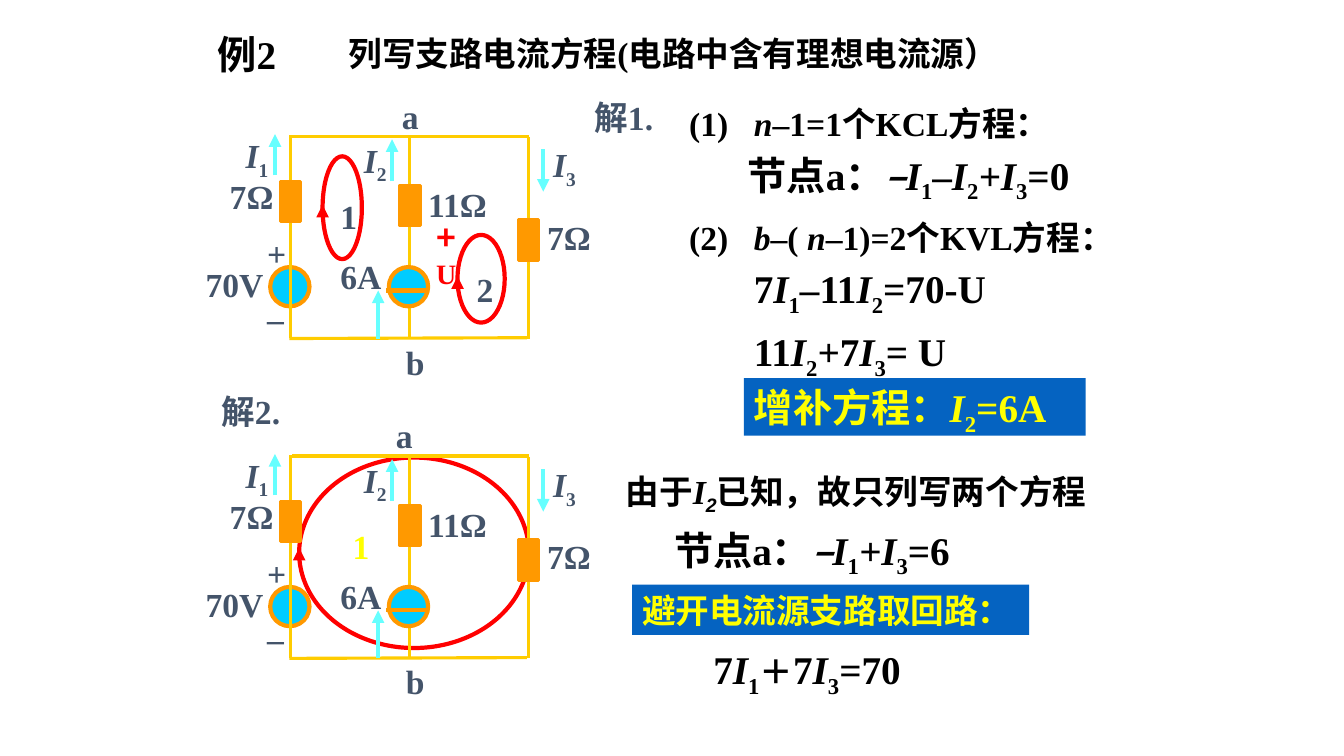
from lxml.etree import SubElement
from pptx import Presentation
from pptx.dml.color import RGBColor as Rgb
from pptx.enum.shapes import MSO_CONNECTOR as Link, MSO_SHAPE as Shape
from pptx.enum.text import MSO_ANCHOR as Anchor, MSO_AUTO_SIZE as Fit, PP_ALIGN as Align
from pptx.oxml.ns import qn
from pptx.util import Cm, Pt

HUES = {"ink": "000000", "slate": "44546A", "red": "FF0000", "wire": "FFCC00",
        "part": "FF9900", "cell": "00CCFF", "flow": "66FFFF",
        "note": "FFFF00", "band": "0563C1"}
HUES = {name: Rgb.from_string(code) for name, code in HUES.items()}
SERIF = "Times New Roman"
CJK = "Noto Sans CJK SC"


def write(text, x, y, w, size=24, hue="slate", face=SERIF, fill=None, box=None):
    """Runs are split by |; ~ is italic, _ is subscript, ^ is italic subscript."""
    box = box or deck.shapes.add_textbox(0, 0, 0, 0)
    place = dict(left=Cm(x), top=Cm(y), width=Cm(w), height=Cm(1.45 if size == 28 else 1.27))
    for key, val in place.items():
        setattr(box, key, val)
    if fill:
        box.fill.solid()
        box.fill.fore_color.rgb = HUES[fill]
    frame = box.text_frame
    for key, val in dict(word_wrap=True, auto_size=Fit.NONE, vertical_anchor=Anchor.TOP).items():
        setattr(frame, key, val)
    for n, line in enumerate(text.split("\n")):
        para = frame.add_paragraph() if n else frame.paragraphs[0]
        para.alignment = Align.LEFT
        if "\t" in line:
            props = para._p.get_or_add_pPr()
            props.set("marL", str(Cm(1.63)))
            props.set("indent", str(-Cm(1.63)))
        for piece in line.split("|"):
            mark = piece[0] if piece[0] in "~_^" else ""
            run = para.add_run()
            run.text = piece[len(mark):]
            look = dict(name=SERIF if mark == "~" else face, size=Pt(size),
                        bold=True, italic=mark in ("~", "^"))
            for key, val in look.items():
                setattr(run.font, key, val)
            run.font.color.rgb = HUES[hue]
            if mark in ("_", "^"):
                run._r.get_or_add_rPr().set("baseline", "-25000")
    return frame


def draw(kind, x, y, w, h, hue, pt, fill=None, tip=False):
    """Draw a preset shape, or a line spanning w and h when kind is None."""
    if kind is None:
        item = deck.shapes.add_connector(Link.STRAIGHT, Cm(x), Cm(y), Cm(x + w), Cm(y + h))
    else:
        item = deck.shapes.add_shape(kind, Cm(x), Cm(y), Cm(w), Cm(h))
        item.shadow.inherit = False
        if fill:
            item.fill.solid()
            item.fill.fore_color.rgb = HUES[fill]
        else:
            item.fill.background()
    item.line.color.rgb = HUES[hue]
    item.line.width = Pt(pt)
    if kind is None:
        props = item.element.spPr
        if tip:
            SubElement(props.find(qn("a:ln")), qn("a:tailEnd"), type="triangle")
        SubElement(props, qn("a:effectLst"))


show = Presentation()
show.slide_width, show.slide_height = Cm(33.87), Cm(19.05)
deck = show.slides.add_slide(show.slide_layouts[5])

# Heading
write("列写支路电流方程(电路中含有理想电流源）", 8.53, 0.71, 18.39, hue="ink", box=deck.shapes.title)
write("例2", 5.23, 0.64, 2.11, 28, "ink")
write("解1.", 14.73, 2.31, 2.01)
write("解2.", 5.33, 9.73, 2.41)

# Mesh loops: oval, arrowhead start and rise, number and its place
loops = [
    (8.13, 3.94, 0.99, 2.59, 5.28, 0.12, "1", 8.33, 4.8, "slate"),
    (11.53, 5.92, 1.19, 2.21, 7.09, 0.13, "2", 11.76, 6.65, "slate"),
    (7.54, 11.53, 5.79, 4.8, 14.05, 0.25, "1", 8.64, 13.13, "note"),
]
for x, y, w, h, base, rise, num, tx, ty, hue in loops:
    draw(Shape.OVAL, x, y, w, h, "red", 3)
    write(num, tx, ty, 0.8, hue=hue)
    draw(None, x, base, 0, -rise, "red", 3, tip=True)

# Circuit parts, drawn once for each solution
wires = [(7.32, 8.51, 0, -5.11), (10.31, 8.53, 0, -5.08), (7.29, 8.53, 5.99, -0.02),
         (7.37, 3.43, 5.97, 0), (13.31, 3.45, 0, 5.08)]
loads = [(7.06, 4.57), (10.08, 4.67), (13.06, 5.54)]
flows = [(6.93, 4.42, -1.04), (13.69, 3.76, 1.07), (9.88, 4.57, -1.06), (9.53, 8.53, -1.21)]
labels = [
    ("70V", 4.93, 6.53, 2.39), ("6A", 8.33, 6.32, 1.6), ("b", 9.98, 8.48, 0.99),
    ("7Ω", 13.54, 5.33, 1.65), ("7Ω", 5.54, 4.32, 1.65), ("11Ω", 10.54, 4.52, 2.39),
    ("+", 6.48, 5.74, 0.97), ("–", 6.48, 7.39, 0.99),
    ("~I|_1", 5.94, 3.28, 1.24), ("~I|_2", 8.92, 3.4, 1.24), ("~I|_3", 13.69, 3.51, 1.65),
]
for drop, node in ((0, 9.88), (8.06, 9.73)):
    draw(Shape.OVAL, 6.81, 6.73 + drop, 0.99, 0.99, "part", 3, "cell")
    for x, y, w, h in wires:
        draw(None, x, y + drop, w, h, "wire", 2.25)
    for x, y in loads:
        draw(Shape.RECTANGLE, x, y + drop, 0.51, 1.02, "part", 2.25, "part")
    draw(Shape.OVAL, 9.8, 6.73 + drop, 0.99, 0.99, "part", 3, "cell")
    draw(None, 9.73, 7.32 + drop, 1.01, 0, "part", 3)
    for x, y, h in flows:
        draw(None, x, y + drop, 0, h, "flow", 3, tip=True)
    for text, x, y, w in labels:
        write(text, x, y + drop, w)
    write("a", node, 2.28 + drop, 1.19)

# Voltage across the current source
volt = write("+\nU\n_", 10.74, 5.33, 1.19, hue="red", face=CJK)
for key, val in dict(name=SERIF, size=Pt(20)).items():
    setattr(volt.paragraphs[1].runs[0].font, key, val)

# Equations of the first solution
write("(1)\t|~n|–1=1个KCL方程：", 17.12, 2.46, 10.8, hue="ink")
write("(2)\t|~b|–( |~n|–1)=2个KVL方程：", 17.12, 5.33, 11.61, hue="ink")
for text, x, y, w in [
    ("节点a：|~–I|_1|–|~I|_2|~+I|_3|=0", 18.59, 3.68, 9.96),
    ("7|~I|_1|~–|11|~I|_2|=70-U", 18.75, 6.53, 7.39),
    ("11|~I|_2|~+|7|~I|_3|= U", 18.75, 8.13, 8.61),
    ("节点a：|~–I|_1|~+I|_3|=6", 16.74, 13.13, 9.96),
]:
    write(text, x, y, w, 28, "ink")
write("增补方程：|~I|_2|=6A", 18.75, 9.53, 8.61, 28, "note", fill="band")

# Equations of the second solution
write("由于|~I|^2|已知，故只列写两个方程", 15.52, 11.73, 13.11, hue="ink", face="Arial")
write("避开电流源支路取回路：", 15.93, 14.73, 10.01, hue="note", fill="band")
total = write("7|~I|_1|＋|7|~I|_3|=70", 17.73, 16.13, 5.79, 28, "ink")
total.paragraphs[0].runs[3].font.size = Pt(24)

show.save("out.pptx")
